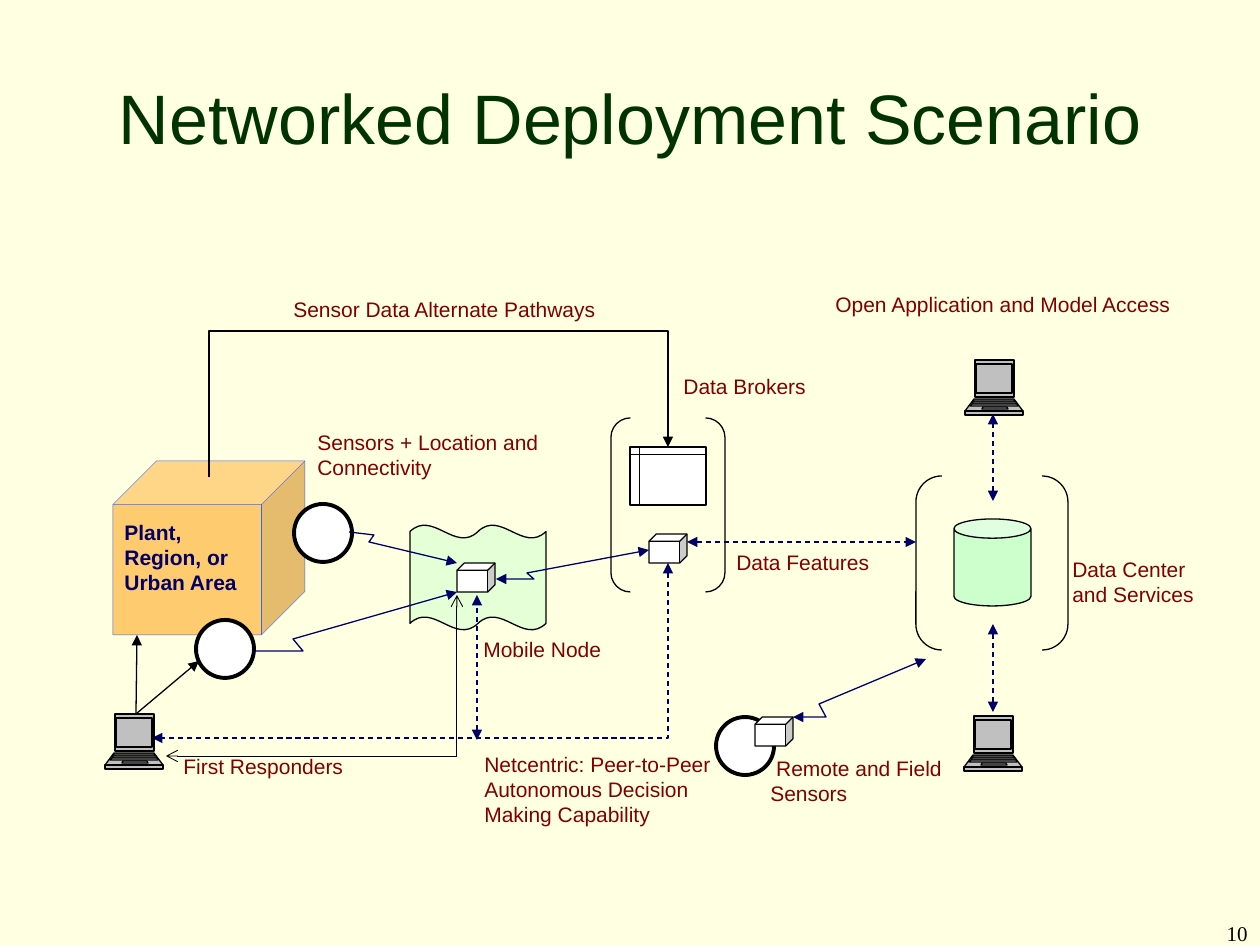
from dataclasses import dataclass

from lxml.etree import SubElement
from pptx import Presentation
from pptx.dml.color import RGBColor
from pptx.enum.dml import MSO_LINE_DASH_STYLE as Dash
from pptx.enum.shapes import MSO_CONNECTOR as Conn, MSO_SHAPE as Geo
from pptx.enum.text import MSO_ANCHOR as Anchor, MSO_AUTO_SIZE as Fit, PP_ALIGN as Align
from pptx.oxml.ns import qn
from pptx.util import Emu, Inches, Pt

EMU_PER_PX = 914400 / 126


@dataclass(frozen=True)
class Theme:
    background: str = "FFFFE1"
    title: str = "003300"
    label: str = "800000"
    navy: str = "000066"
    black: str = "000000"
    white: str = "FFFFFF"
    green: str = "CCFFCC"
    orange: str = "FF9900"
    blue: str = "3366FF"
    gray: str = "C0C0C0"
    font: str = "Arial"
    number_font: str = "Times New Roman"
    title_size: int = 40
    text_size: int = 12
    hairline: float = 0.25
    fine: float = 0.5
    thin: float = 0.75
    thick: float = 2.25


T = Theme()

# Outlines of one laptop, relative to its top left corner
LAPTOP = [
    [(10, 0), (49, 0), (49, 37), (10, 37)],      # lid
    [(9, 39), (0, 51), (58, 51), (49, 39)],      # base
    [(0, 51), (0, 55), (58, 55), (58, 51)],      # front edge
    [(11, 4), (47, 4), (47, 33), (11, 33)],      # screen
    [(9, 40), (8, 42), (50, 42), (49, 40)],      # key rows
    [(18, 47), (17, 49), (43, 49), (42, 47)],
    [(8, 42), (7, 44), (52, 44), (51, 42)],
    [(7, 44), (5, 46), (53, 46), (52, 44)],
]


def px(*values):
    return [Emu(round(v * EMU_PER_PX)) for v in values]


def rgb(code):
    return RGBColor.from_string(code)


def style_fill(s, color, alpha=None):
    if color is None:
        s.fill.background()
        return
    s.fill.solid()
    s.fill.fore_color.rgb = rgb(color)
    if alpha:
        clr = s._element.spPr.find(qn("a:solidFill"))[0]
        SubElement(clr, qn("a:alpha"), val=str(alpha * 1000))


def style_line(s, color, width, dashed=False, head=None, tail=None):
    s.line.color.rgb = rgb(color)
    s.line.width = Pt(width)
    if dashed:
        s.line.dash_style = Dash.DASH
    ln = s._element.spPr.find(qn("a:ln"))
    for tag, kind in (("a:headEnd", head), ("a:tailEnd", tail)):
        if kind:
            SubElement(ln, qn(tag), type=kind)


def write(tf, text, size=T.text_size, color=T.label, font=T.font, bold=False,
          align=Align.LEFT, anchor=Anchor.TOP):
    tf.word_wrap = True
    tf.auto_size = Fit.NONE
    tf.vertical_anchor = anchor
    p = tf.paragraphs[0]
    p.alignment = align
    r = p.add_run()
    r.text = text
    r.font.size, r.font.name, r.font.bold = Pt(size), font, bold
    r.font.color.rgb = rgb(color)


def add_label(shapes, box, text, **fmt):
    write(shapes.add_textbox(*px(*box)).text_frame, text, **fmt)


def add_preset(shapes, geo, box, fill=T.white, alpha=None, line=T.black,
               width=T.thin, adj=None):
    s = shapes.add_shape(geo, *px(*box))
    s.shadow.inherit = False
    if adj is not None:
        s.adjustments[0] = adj
    style_fill(s, fill, alpha)
    style_line(s, line, width)


def add_node(shapes, x, y):
    add_preset(shapes, Geo.CUBE, (x, y, 38, 29))


def add_sensor(shapes, x, y):
    add_preset(shapes, Geo.OVAL, (x, y, 58, 58), width=T.thick)


def add_path(shapes, points, color=T.navy, width=T.thin, head=None,
             tail="triangle", dashed=False):
    builder = shapes.build_freeform(*points[0], scale=EMU_PER_PX)
    builder.add_line_segments(points[1:], close=False)
    s = builder.convert_to_shape()
    s.shadow.inherit = False
    style_fill(s, None)
    style_line(s, color, width, dashed, head, tail)


def add_link(shapes, start, end):
    s = shapes.add_connector(Conn.STRAIGHT, *px(*start, *end))
    style_line(s, T.navy, T.thin, dashed=True, head="triangle", tail="triangle")
    SubElement(s._element.spPr, qn("a:effectLst"))


def add_laptop(shapes, x, y):
    builder = shapes.build_freeform(*LAPTOP[0][0], scale=EMU_PER_PX)
    for i, outline in enumerate(LAPTOP):
        if i:
            builder.move_to(*outline[0])
        builder.add_line_segments(outline[1:], close=True)
    s = builder.convert_to_shape(*px(x, y))
    s.shadow.inherit = False
    style_fill(s, T.gray)
    style_line(s, T.black, T.thin)
    # Give each outline its own path, so that overlaps stay filled
    path_list = s._element.spPr.find(".//" + qn("a:pathLst"))
    first = path = path_list[0]
    for i, step in enumerate(list(first)):
        if i and step.tag == qn("a:moveTo"):
            path = SubElement(path_list, qn("a:path"), dict(first.attrib))
        path.append(step)


def add_title(slide, text):
    s = slide.shapes.title
    s.left, s.top, s.width, s.height = px(63, 38, 1134, 157)
    write(s.text_frame, text, size=T.title_size, color=T.title,
          align=Align.CENTER, anchor=Anchor.MIDDLE)


def main():
    prs = Presentation()
    prs.slide_width, prs.slide_height = Inches(10), Inches(7.5)
    slide = prs.slides.add_slide(prs.slide_layouts[5])
    slide.background.fill.solid()
    slide.background.fill.fore_color.rgb = rgb(T.background)
    shapes = slide.shapes
    add_title(slide, "Networked Deployment Scenario")

    # Site, sensors and mobile node
    add_preset(shapes, Geo.DOUBLE_WAVE, (410, 525, 136, 105), T.green, alpha=50)
    add_preset(shapes, Geo.CUBE, (113, 461, 192, 174), T.orange, alpha=51,
               line=T.blue, width=T.hairline)
    add_sensor(shapes, 294, 504)
    add_sensor(shapes, 196, 620)
    add_path(shapes, [(252, 651), (303, 651), (293, 639), (457, 592)])
    add_path(shapes, [(349, 532), (374, 535), (369, 542), (457, 563)])
    add_path(shapes, [(209, 477), (209, 331), (668, 331), (668, 447)], T.black)
    add_node(shapes, 457, 563)

    # Data brokers and data center
    add_preset(shapes, Geo.FLOWCHART_INTERNAL_STORAGE, (630, 447, 76, 58))
    add_path(shapes, [(496, 579), (534, 579), (527, 573), (649, 550)], head="triangle")
    add_node(shapes, 649, 534)
    add_preset(shapes, Geo.CAN, (954, 519, 77, 87), T.green)
    for box in ((916, 476, 152, 174), (611, 418, 114, 174)):
        add_preset(shapes, Geo.DOUBLE_BRACKET, box, fill=None, adj=0.17)
    add_path(shapes, [(668, 563), (668, 738), (152, 738)], head="triangle", dashed=True)

    # Laptops and dashed links
    for x, y in ((965, 360), (105, 714), (964, 716)):
        add_laptop(shapes, x, y)
    for start, end in (((687, 542), (916, 542)), ((993, 712), (993, 624)),
                       ((993, 501), (993, 414)), ((477, 740), (477, 595))):
        add_link(shapes, start, end)

    # First responders and remote sensors
    add_path(shapes, [(166, 756), (457, 756), (457, 595)], T.black, T.fine,
             head="arrow", tail="arrow")
    add_sensor(shapes, 716, 717)
    add_node(shapes, 755, 717)
    add_path(shapes, [(793, 717), (826, 717), (819, 704), (926, 659)], head="triangle")
    for target in ((137, 635), (199, 661)):
        add_path(shapes, [(136, 714), target], T.black)

    # Labels
    add_label(shapes, (112, 513, 144, 108), "Plant, Region, or Urban Area",
              color=T.navy, bold=True)
    for box, text in (
        ((281, 290, 381, 58), "Sensor Data Alternate Pathways"),
        ((671, 367, 210, 58), "Data Brokers"),
        ((823, 285, 379, 63), "Open Application and Model Access"),
        ((305, 423, 296, 116), "Sensors + Location and Connectivity"),
        ((724, 543, 229, 58), "Data Features"),
        ((171, 747, 197, 58), "First Responders"),
        ((758, 749, 229, 58), " Remote and Field Sensors"),
        ((1060, 550, 152, 116), "Data Center and Services"),
        ((472, 745, 252, 63),
         "Netcentric: Peer-to-Peer Autonomous Decision Making Capability"),
        ((471, 630, 229, 58), "Mobile Node"),
    ):
        add_label(shapes, box, text)
    add_label(shapes, (966, 914, 294, 31), "10", color=T.black,
              font=T.number_font, align=Align.RIGHT)

    prs.save("out.pptx")


if __name__ == "__main__":
    main()
